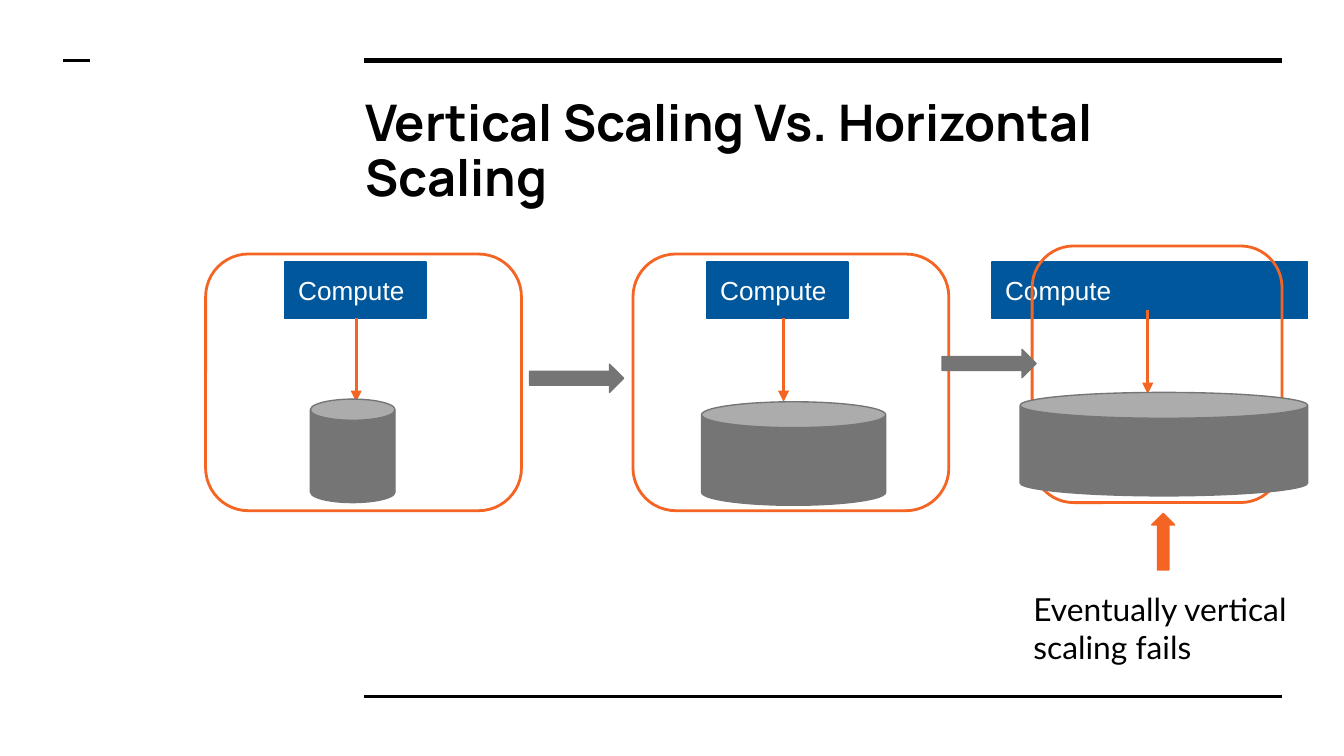
from dataclasses import dataclass
from lxml import etree
from pptx import Presentation, util as u
from pptx.dml.color import RGBColor
from pptx.enum import shapes, text
from pptx.oxml.ns import qn

# Square grid: 100 columns by 56.25 rows
COLS, ROWS = 100, 56.25
CELL = u.Inches(10) / COLS
KIND = shapes.MSO_SHAPE


@dataclass(frozen=True)
class Theme:
    ink: str = "000000"
    paper: str = "FFFFFF"
    accent: str = "F46524"
    blue: str = "01579B"
    gray: str = "757575"
    head: tuple = ("Manrope", 27)
    label: tuple = ("Arial", 14)
    note: tuple = ("Lato", 17)
    thin: float = 0.75
    line: float = 1.5
    thick: float = 3


T = Theme()


def grid(*cells):
    return [u.Emu(round(c * CELL)) for c in cells]


def write(shape, words, font, color, anchor=text.MSO_ANCHOR.TOP, bold=False):
    frame = shape.text_frame
    frame.text = words
    frame.word_wrap = True
    frame.auto_size = text.MSO_AUTO_SIZE.NONE
    frame.vertical_anchor = anchor
    pad = grid(1)[0]
    frame.margin_left = frame.margin_right = pad
    frame.margin_top = frame.margin_bottom = pad
    para = frame.paragraphs[0]
    para.alignment = text.PP_ALIGN.LEFT
    style = para.runs[0].font
    style.name, style.size = font[0], u.Pt(font[1])
    style.bold = bold
    style.color.rgb = RGBColor.from_string(color)
    return para


def block(slide, kind, box, color, filled=True):
    shape = slide.shapes.add_shape(kind, *grid(*box))
    shape.shadow.inherit = False
    rgb = RGBColor.from_string(color)
    if filled:
        shape.fill.solid()
        shape.fill.fore_color.rgb = rgb
    else:
        shape.fill.background()
    shape.line.color.rgb = rgb
    shape.line.width = u.Pt(T.thin if filled else T.line)
    return shape


def rule(slide, start, end, color, width, arrow=False):
    line = slide.shapes.add_connector(
        shapes.MSO_CONNECTOR.STRAIGHT, *grid(*start, *end))
    line.line.color.rgb = RGBColor.from_string(color)
    line.line.width = u.Pt(width)
    if arrow:
        etree.SubElement(line.line._get_or_add_ln(), qn("a:tailEnd"),
                         type="triangle")
    etree.SubElement(line._element.spPr, qn("a:effectLst"))


def stage(slide, frame, label, disk, stem):
    """One server: compute box, outline, arrow and storage."""
    left, top, wide = frame
    unit = block(slide, KIND.RECTANGLE, (label[0], 19.5, label[1], 4.2), T.blue)
    write(unit, "Compute", T.label, T.paper, text.MSO_ANCHOR.MIDDLE)
    block(slide, KIND.ROUNDED_RECTANGLE, (left, top, wide, 19.1),
          T.accent, filled=False)
    rule(slide, (stem, top + 4.8), (stem, top + 11), T.accent, T.line, True)
    block(slide, KIND.CAN, (*disk, 7.7), T.gray)


def main():
    deck = Presentation()
    deck.slide_width, deck.slide_height = grid(COLS, ROWS)
    slide = deck.slides.add_slide(deck.slide_layouts[5])

    # Page rules
    for left, right, row, width in ((27.1, 95.4, 4.5, T.thick),
                                    (27.1, 95.4, 51.8, T.line),
                                    (4.7, 6.7, 4.5, T.line)):
        rule(slide, (left, row), (right, row), T.ink, width)

    # Title
    title = slide.shapes.title
    title.left, title.top, title.width, title.height = grid(26.2, 6.3, 69.1, 6.9)
    para = write(title, "Vertical Scaling Vs. Horizontal Scaling",
                 T.head, T.ink, bold=True)
    para.line_spacing = 0.9

    # Servers that grow from left to right: frame, label, disk, stem
    for parts in (
        ((15.3, 18.9, 23.5), (21.2, 10.5), (23.1, 29.7, 6.3), 26.5),
        ((47.1, 18.9, 23.5), (52.6, 10.5), (52.2, 29.9, 13.7), 58.3),
        ((76.8, 18.3, 18.6), (73.8, 23.5), (75.9, 29.2, 21.4), 85.4),
    ):
        stage(slide, *parts)

    # Steps between servers
    for left, top in ((39.4, 27.1), (70.1, 26)):
        block(slide, KIND.RIGHT_ARROW, (left, top, 7, 2.1), T.gray)

    # Closing remark
    block(slide, KIND.UP_ARROW, (85.7, 38.2, 1.7, 4.2), T.accent)
    note = slide.shapes.add_textbox(*grid(75.9, 42.9, 23.5, 7.7))
    write(note, "Eventually vertical scaling fails", T.note, T.ink)

    deck.save("out.pptx")


if __name__ == "__main__":
    main()
